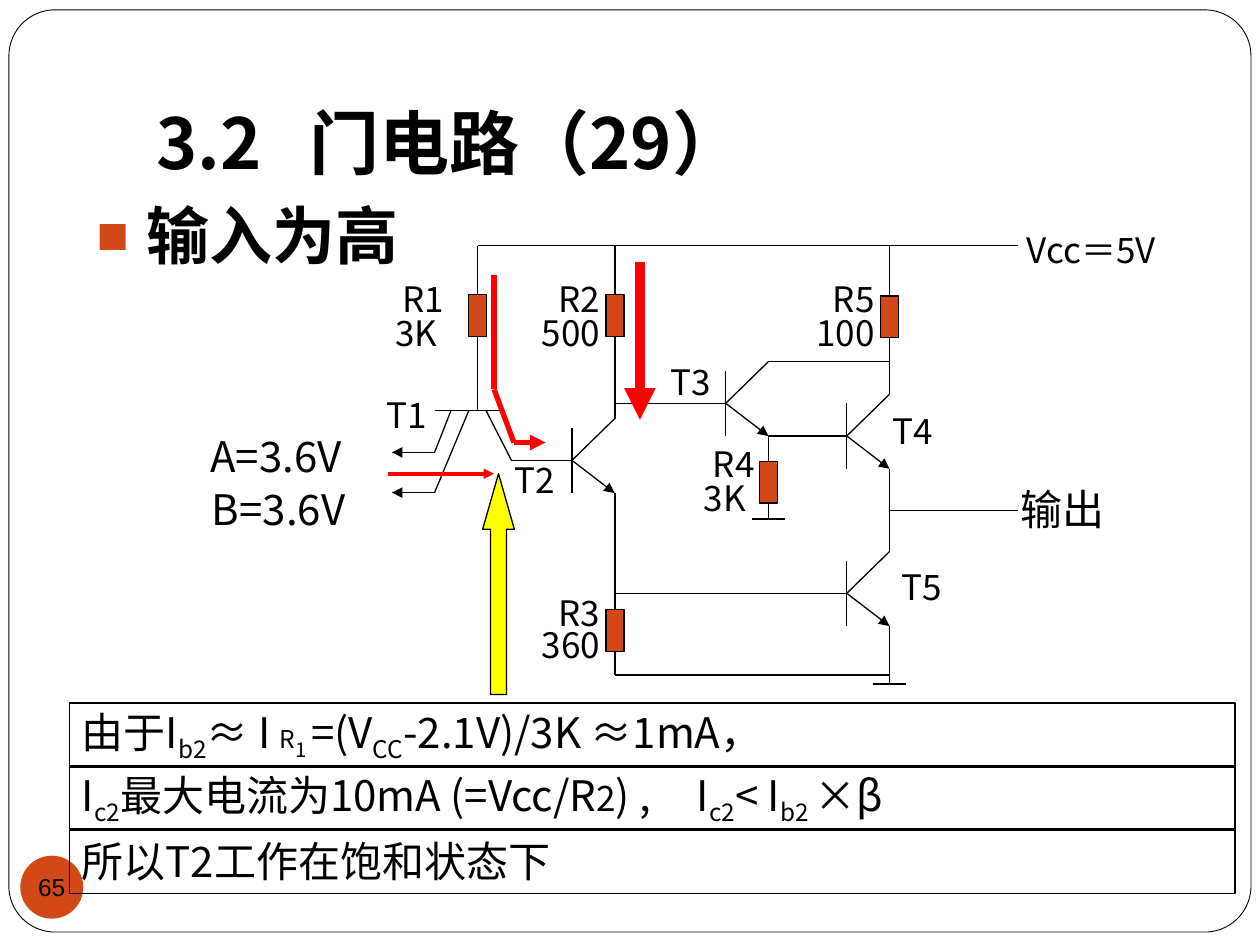
from dataclasses import dataclass
from itertools import pairwise

from lxml.etree import SubElement
from pptx import Presentation
from pptx.dml.color import RGBColor as Rgb
from pptx.enum.shapes import MSO_CONNECTOR as Link, MSO_SHAPE as Kind
from pptx.enum.text import MSO_ANCHOR as Anchor, PP_ALIGN as Align
from pptx.oxml.ns import qn
from pptx.util import Cm, Pt

SANS = "Noto Sans CJK JP"
BLACK, WHITE, RED, YELLOW, RUST = "000000", "FFFFFF", "FF0000", "FFFF00", "D34817"


@dataclass
class Run:
    text: str
    size: float = 24
    sub: bool = False


@dataclass
class Label:
    text: str
    x: float
    y: float
    wide: float = 1.9
    size: float = 20
    pad: float = 0.25


@dataclass
class Wire:
    """A chain of straight lines through points in centimetres."""
    points: list
    head: bool = False
    color: str = BLACK
    width: float = 0.75


# Column and row positions of the circuit, in centimetres
X1, X2, X4, X5, X_OUT = 9.63, 12.4, 15.49, 17.93, 20.52
TOP, BASE, LOW, OUT = 4.95, 8.28, 13.61, 10.29
REACH, HALF, RISE = 0.86, 0.66, 0.84      # transistor arm and bar
RES_W, RES_H = 0.36, 0.84

JOINTS = [(11.53, 9.28), (14.63, 8.13), (17.07, 8.79), (17.07, 11.96)]
PARTS = [(X1, 5.94), (X2, 5.94), (X5, 5.97), (X4, 9.3), (X2, 12.29)]

WIRES = [
    Wire([(X1, TOP), (X_OUT, TOP)]),
    Wire([(X1, TOP), (X1, 5.94)]),
    Wire([(X1, 6.78), (X1, BASE)]),
    Wire([(8.76, BASE), (10.13, BASE)]),
    Wire([(9.09, BASE), (8.76, 9.12), (7.9, 9.12)], head=True),
    Wire([(9.45, BASE), (8.76, 9.93), (7.9, 9.93)], head=True),
    Wire([(9.8, BASE), (10.31, 9.28), (11.53, 9.28)]),
    Wire([(X2, TOP), (X2, 5.94)]),
    Wire([(X2, 6.78), (X2, 8.44)]),
    Wire([(X2, 8.13), (14.63, 8.13)]),
    Wire([(X2, 9.94), (X2, 12.29)]),
    Wire([(X2, 11.96), (17.07, 11.96)]),
    Wire([(X2, 13.13), (X2, LOW), (X5, LOW)]),
    Wire([(X4, 7.29), (X5, 7.29)]),
    Wire([(X4, 8.79), (17.07, 8.79)]),
    Wire([(X4, 8.79), (X4, 9.3)]),
    Wire([(X4, 10.14), (X4, 10.46)]),
    Wire([(X4 - 0.34, 10.46), (X4 + 0.34, 10.46)]),
    Wire([(X5, TOP), (X5, 5.97)]),
    Wire([(X5, 6.81), (X5, 7.95)]),
    Wire([(X5, 9.45), (X5, 11.12)]),
    Wire([(X5, OUT), (X_OUT, OUT)]),
    Wire([(X5, 12.62), (X5, 13.79)]),
    Wire([(X5 - 0.34, 13.79), (X5 + 0.34, 13.79)]),
]

FLOWS = [
    Wire([(9.96, 5.54), (9.96, 7.85), (10.36, 8.92), (11, 8.92)], True, RED, 3),
    Wire([(7.82, 9.55), (9.96, 9.55)], True, RED, 2),
    Wire([(12.9, 5.28), (12.9, 8.46)], True, RED, 6),
]

LABELS = [
    Label("R1", 7.87, 5.46), Label("3K", 7.72, 6.15),
    Label("R2", 11, 5.46), Label("500", 10.67, 6.15),
    Label("R3", 11, 11.79), Label("360", 10.67, 12.45),
    Label("R4", 14.12, 8.79), Label("3K", 13.94, 9.47),
    Label("R5", 16.54, 5.46), Label("100", 16.21, 6.15),
    Label("T1", 7.54, 7.8), Label("T2", 10.13, 9.12),
    Label("T3", 13.26, 7.14), Label("T4", 17.75, 8.13),
    Label("T5", 17.93, 11.28),
    Label("Vcc＝5V", 20.45, 4.47, 3.7),
    Label("A=3.6V", 4.24, 8.55, 3.35, 24, 0),
    Label("B=3.6V", 4.27, 9.62, 3.12, 24, 0),
    Label("输出", 20.32, 9.62, 2.39, 24),
]

ROWS = [
    [Run("由于I"), Run("b2", sub=True), Run("≈ I "), Run("R", 14),
     Run("1 ", 20, True), Run("=(V"), Run("CC", sub=True),
     Run("-2.1V)/3K ≈1mA，")],
    [Run("I"), Run("c2", sub=True), Run("最大电流为10mA (=Vcc/R"), Run("2", 20),
     Run(") ,\tI"), Run("c2", sub=True), Run("< I"), Run("b2 ", sub=True),
     Run("×β")],
    [Run("所以T2工作在饱和状态下")],
]


def paint(form, color: str) -> None:
    form.solid()
    form.fore_color.rgb = Rgb.from_string(color)


def write(shape, text, *, size=24, font=SANS, bold=False, align=Align.LEFT,
          anchor=Anchor.MIDDLE, pad=(0.25, 0.13, 0.25, 0.13), wrap=True,
          tab=0, mark="") -> None:
    """Fill a shape with one paragraph, given as a string or a list of runs."""
    frame = shape.text_frame
    frame.word_wrap = wrap
    frame.vertical_anchor = anchor
    (frame.margin_left, frame.margin_top,
     frame.margin_right, frame.margin_bottom) = map(Cm, pad)
    para = frame.paragraphs[0]
    para.alignment = align
    props = para._p.get_or_add_pPr()
    if mark:
        props.set("marL", str(Cm(1)))
        props.set("indent", str(-Cm(1)))
        tint = SubElement(props, qn("a:buClr"))
        SubElement(tint, qn("a:srgbClr"), val=RUST)
        SubElement(props, qn("a:buSzPct"), val="85000")
        SubElement(props, qn("a:buFont"), typeface=font)
        SubElement(props, qn("a:buChar"), char=mark)
    if tab:
        stops = SubElement(props, qn("a:tabLst"))
        SubElement(stops, qn("a:tab"), pos=str(Cm(tab)), algn="l")
    for part in [Run(text, size)] if isinstance(text, str) else text:
        run = para.add_run()
        run.text = part.text
        run.font.size = Pt(part.size)
        run.font.bold = bold
        run.font.name = font
        paint(run.font.fill, BLACK)
        look = run._r.get_or_add_rPr()
        SubElement(look, qn("a:ea"), typeface=SANS)
        if part.sub:
            look.set("baseline", "-25000")


def add_box(slide, x: float, y: float, wide: float, high: float):
    return slide.shapes.add_textbox(Cm(x), Cm(y), Cm(wide), Cm(high))


def add_form(slide, kind, x: float, y: float, wide: float, high: float,
             fill="", line=BLACK, width=0.75):
    form = slide.shapes.add_shape(kind, Cm(x), Cm(y), Cm(wide), Cm(high))
    form.shadow.inherit = False
    if fill:
        paint(form.fill, fill)
    else:
        form.fill.background()
    if line:
        paint(form.line.fill, line)
        form.line.width = Pt(width)
    else:
        form.line.fill.background()
    return form


def draw_wire(slide, wire: Wire) -> None:
    for start, end in pairwise(wire.points):
        link = slide.shapes.add_connector(Link.STRAIGHT, *map(Cm, start + end))
        paint(link.line.fill, wire.color)
        link.line.width = Pt(wire.width)
        SubElement(link._element.spPr, qn("a:effectLst"))
        if wire.head and end == wire.points[-1]:
            SubElement(link.line._get_or_add_ln(), qn("a:tailEnd"), type="triangle")


def draw_joint(slide, x: float, y: float) -> None:
    """Draw a transistor whose base meets its bar at x, y."""
    draw_wire(slide, Wire([(x, y - HALF), (x, y + HALF)]))
    draw_wire(slide, Wire([(x + REACH, y - RISE), (x, y)]))
    draw_wire(slide, Wire([(x, y), (x + REACH, y + HALF)], head=True))


def main() -> None:
    deck = Presentation()
    deck.slide_width, deck.slide_height = Cm(25.4), Cm(19.05)
    slide = deck.slides.add_slide(deck.slide_layouts[6])

    frame = add_form(slide, Kind.ROUNDED_RECTANGLE, 0.18, 0.2, 25.04, 18.59,
                     WHITE, width=0.5)
    frame.adjustments[0] = 0.05
    write(add_box(slide, 2.9, 0.76, 21.59, 3.18), "3.2\t门电路（29）", size=40,
          bold=True, anchor=Anchor.BOTTOM, pad=(0.25, 0.13, 0.25, 0.25), tab=3.1)
    badge = add_form(slide, Kind.OVAL, 0.41, 17.25, 1.27, 1.27, RUST, line="")
    write(badge, "65", size=14, font="Arial", align=Align.CENTER,
          pad=(0, 0, 0, 0), wrap=False)
    write(add_box(slide, 1.7, 3.84, 22.66, 12.9), "输入为高", size=36,
          font="Arial", bold=True, anchor=Anchor.TOP, mark="■")

    for wire in WIRES:
        draw_wire(slide, wire)
    for x, y in JOINTS:
        draw_joint(slide, x, y)
    for x, y in PARTS:
        add_form(slide, Kind.RECTANGLE, x - RES_W / 2, y, RES_W, RES_H, RUST)
    for tag in LABELS:
        high = 1.1 if tag.size == 20 else 1.27
        write(add_box(slide, tag.x, tag.y, tag.wide, high), tag.text,
              size=tag.size, pad=(tag.pad, 0.13, tag.pad, 0.13))

    arrow = add_form(slide, Kind.UP_ARROW, 9.73, 9.55, 0.64, 4.45, YELLOW)
    arrow.adjustments[1] = 1.75
    for flow in FLOWS:
        draw_wire(slide, flow)
    for i, row in enumerate(ROWS):
        box = add_form(slide, Kind.RECTANGLE, 1.4, 14.17 + 1.27 * i, 23.5, 1.3)
        write(box, row, tab=12.4)
    deck.save("out.pptx")


if __name__ == "__main__":
    main()
